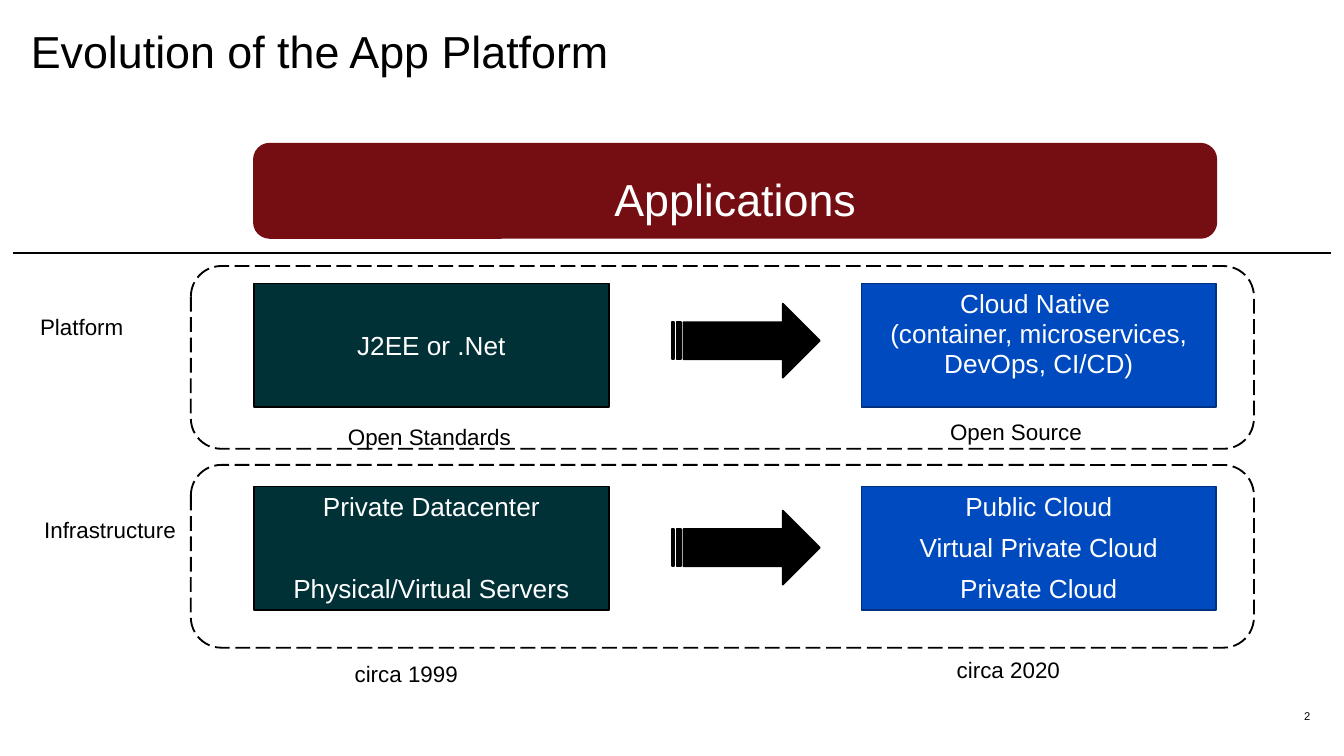
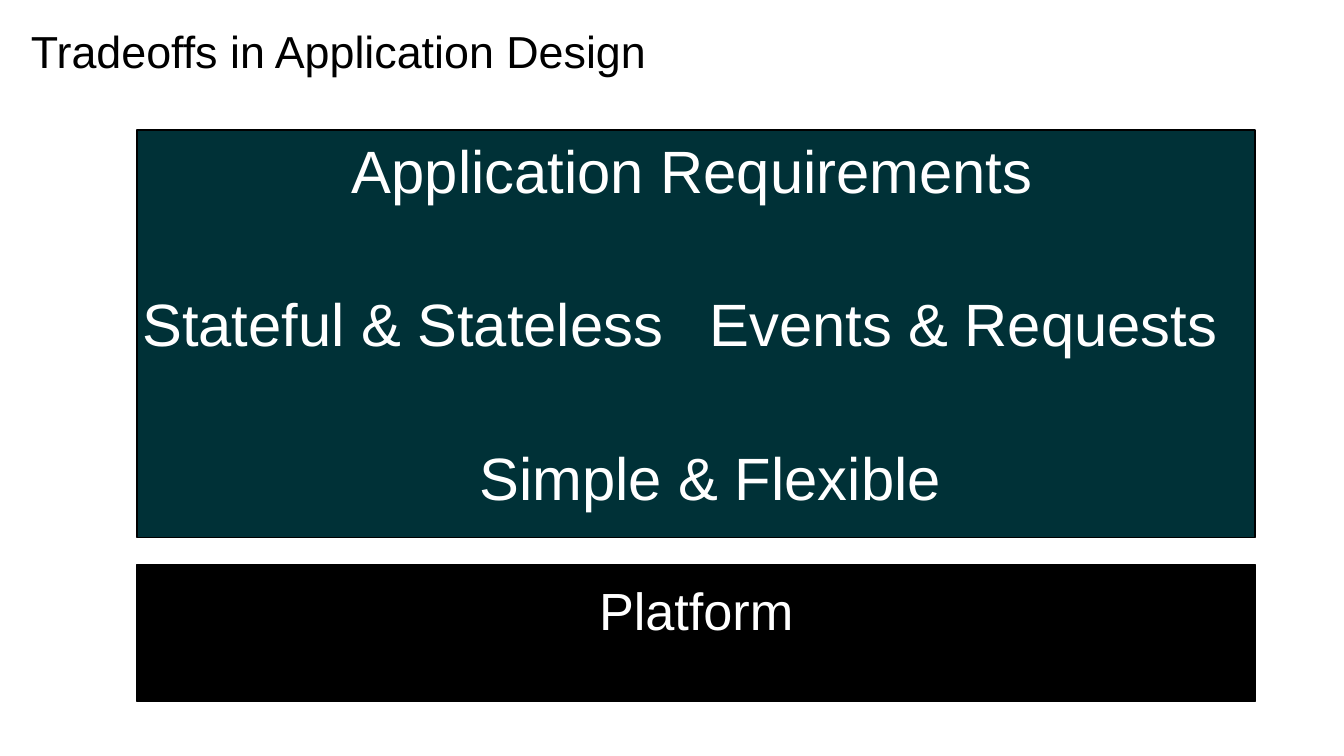
import pptx
import pptx.dml.color
import pptx.enum.dml
import pptx.enum.shapes
import pptx.enum.text
import pptx.oxml.ns
import pptx.util
from lxml import etree

Inches, Pt = pptx.util.Inches, pptx.util.Pt
SHAPE = pptx.enum.shapes.MSO_SHAPE
ALIGN = pptx.enum.text.PP_ALIGN
ANCHOR = pptx.enum.text.MSO_ANCHOR
hex_color = pptx.dml.color.RGBColor.from_string

FONT = "Arial"
BLACK, WHITE = "000000", "FFFFFF"
RED, TEAL, BLUE, NAVY = "750E13", "003137", "004ABF", "003180"
INSET = 0.04
LOWERED = 0.35  # top inset that starts the text one line further down


def add_text(s, at, text, size, color=BLACK, align=ALIGN.LEFT, spacing=16,
             after=12, inset=None, wrap=False):
    """Add a text box; without an inset it keeps the default margins and grows."""
    sp = s.shapes.add_textbox(*map(Inches, at))
    tf = sp.text_frame
    tf.word_wrap = wrap
    if inset is None:
        tf.auto_size = pptx.enum.text.MSO_AUTO_SIZE.SHAPE_TO_FIT_TEXT
    else:
        tf.margin_left = tf.margin_right = tf.margin_top = tf.margin_bottom = Inches(inset)
    p = tf.paragraphs[0]
    p.alignment = align
    if spacing:
        p.line_spacing, p.space_after = Pt(spacing), Pt(after)
    r = p.add_run()
    r.text = text
    r.font.name, r.font.size = FONT, Pt(size)
    r.font.color.rgb = hex_color(color)
    return tf


def add_block(s, kind, at, fill, line, lines=(), size=14, top=INSET, after=6):
    """Add a preset shape with centred white text; newlines become line breaks."""
    sp = s.shapes.add_shape(kind, *map(Inches, at))
    sp.shadow.inherit = False
    if fill:
        sp.fill.solid()
        sp.fill.fore_color.rgb = hex_color(fill)
    else:
        sp.fill.background()
    sp.line.color.rgb = hex_color(line)
    sp.line.width = Pt(1)
    tf = sp.text_frame
    tf.word_wrap = True
    tf.vertical_anchor = ANCHOR.TOP
    tf.margin_left = tf.margin_right = tf.margin_bottom = Inches(INSET)
    tf.margin_top = Inches(top)
    for i, text in enumerate(lines):
        p = tf.paragraphs[0] if i == 0 else tf.add_paragraph()
        p.alignment = ALIGN.CENTER
        p.line_spacing, p.space_after = Pt(16), Pt(after)
        for j, part in enumerate(text.split("\n")):
            if j:
                p.add_line_break()
            r = p.add_run()
            r.text = part
            r.font.name, r.font.size = FONT, Pt(size)
            r.font.color.rgb = hex_color(WHITE)
    return sp


prs = pptx.Presentation()
prs.slide_width = Inches(10)
prs.slide_height = prs.slide_width * 9 // 16

slides = []
for title, width in (("Evolution of the App Platform", 4.53),
                     ("Tradeoffs in Application Design", 4.95)):
    s = prs.slides.add_slide(prs.slide_layouts[6])
    add_text(s, (0.23, 0.19, width, 0.88), title, 24, spacing=28, after=18,
             inset=0, wrap=True)
    slides.append(s)
evolution, tradeoffs = slides

# Evolution: applications on top, then a platform row and an infrastructure row
s = evolution
tf = add_text(s, (7.75, 5.24, 2, 0.18), "2", 6, align=ALIGN.RIGHT, spacing=None,
              inset=0, wrap=True)
tf.vertical_anchor = ANCHOR.MIDDLE

OLD_X, NEW_X, BOX_W, BOX_H = 1.89, 6.41, 2.64, 0.92
add_block(s, SHAPE.ROUNDED_RECTANGLE, (OLD_X, 1.07, NEW_X + BOX_W - OLD_X, 0.7),
          RED, RED, ["Applications"], 24, LOWERED)

PLATFORM_Y, INFRA_Y = 2.11, 3.62
boxes = [
    (OLD_X, PLATFORM_Y, TEAL, BLACK, ["J2EE or .Net"], LOWERED, 6),
    (NEW_X, PLATFORM_Y, BLUE, NAVY,
     ["Cloud Native \n(container, microservices, DevOps, CI/CD)"], INSET, 6),
    (OLD_X, INFRA_Y, TEAL, BLACK,
     ["Private Datacenter", "Physical/Virtual Servers"], INSET, 28),
    (NEW_X, INFRA_Y, BLUE, NAVY,
     ["Public Cloud", "Virtual Private Cloud", "Private Cloud"], INSET, 6),
]
for x, y, fill, line, lines, top, after in boxes:
    add_block(s, SHAPE.RECTANGLE, (x, y, BOX_W, BOX_H), fill, line, lines,
              top=top, after=after)

divider = s.shapes.add_connector(pptx.enum.shapes.MSO_CONNECTOR.STRAIGHT,
                                 Inches(0.1), Inches(1.88), Inches(9.9), Inches(1.88))
divider.line.color.rgb = hex_color(BLACK)
divider.line.width = Pt(1)
etree.SubElement(divider._element.spPr, pptx.oxml.ns.qn("a:effectLst"))

labels = [
    ("Platform", 0.2, 2.26, 0.84),
    ("Infrastructure", 0.23, 3.77, 1.19),
    ("Open Standards", 2.49, 3.08, 1.42),
    ("Open Source", 6.97, 3.04, 1.19),
    ("circa 1999", 2.54, 4.84, 0.98),
    ("circa 2020", 7.02, 4.81, 0.98),
]
for label, x, y, w in labels:
    add_text(s, (x, y, w, 0.31), label, 12)

for arrow_y, frame_y in ((2.26, 1.98), (3.8, 3.46)):
    add_block(s, SHAPE.STRIPED_RIGHT_ARROW, (5, arrow_y, 1.1, 0.55), BLACK, BLACK)
    frame = add_block(s, SHAPE.ROUNDED_RECTANGLE, (1.42, frame_y, 7.91, 1.36), None, BLACK)
    frame.line.dash_style = pptx.enum.dml.MSO_LINE.LONG_DASH

# Tradeoffs: requirements standing on the platform
s = tradeoffs
add_block(s, SHAPE.RECTANGLE, (1.02, 0.97, 8.32, 3.03), TEAL, BLACK)
add_block(s, SHAPE.RECTANGLE, (1.02, 4.2, 8.32, 1.02), BLACK, BLACK,
          ["Platform"], 28, LOWERED)
requirements = [
    ("Application Requirements", 2.52, 1.26, 5.31),
    ("Stateful & Stateless", 0.96, 2.4, 4.21),
    ("Events & Requests", 5.18, 2.4, 4.01),
    ("Simple & Flexible", 3.47, 3.54, 3.67),
]
for requirement, x, y, w in requirements:
    add_text(s, (x, y, w, 0.37), requirement, 32, WHITE)

prs.save("out.pptx")
